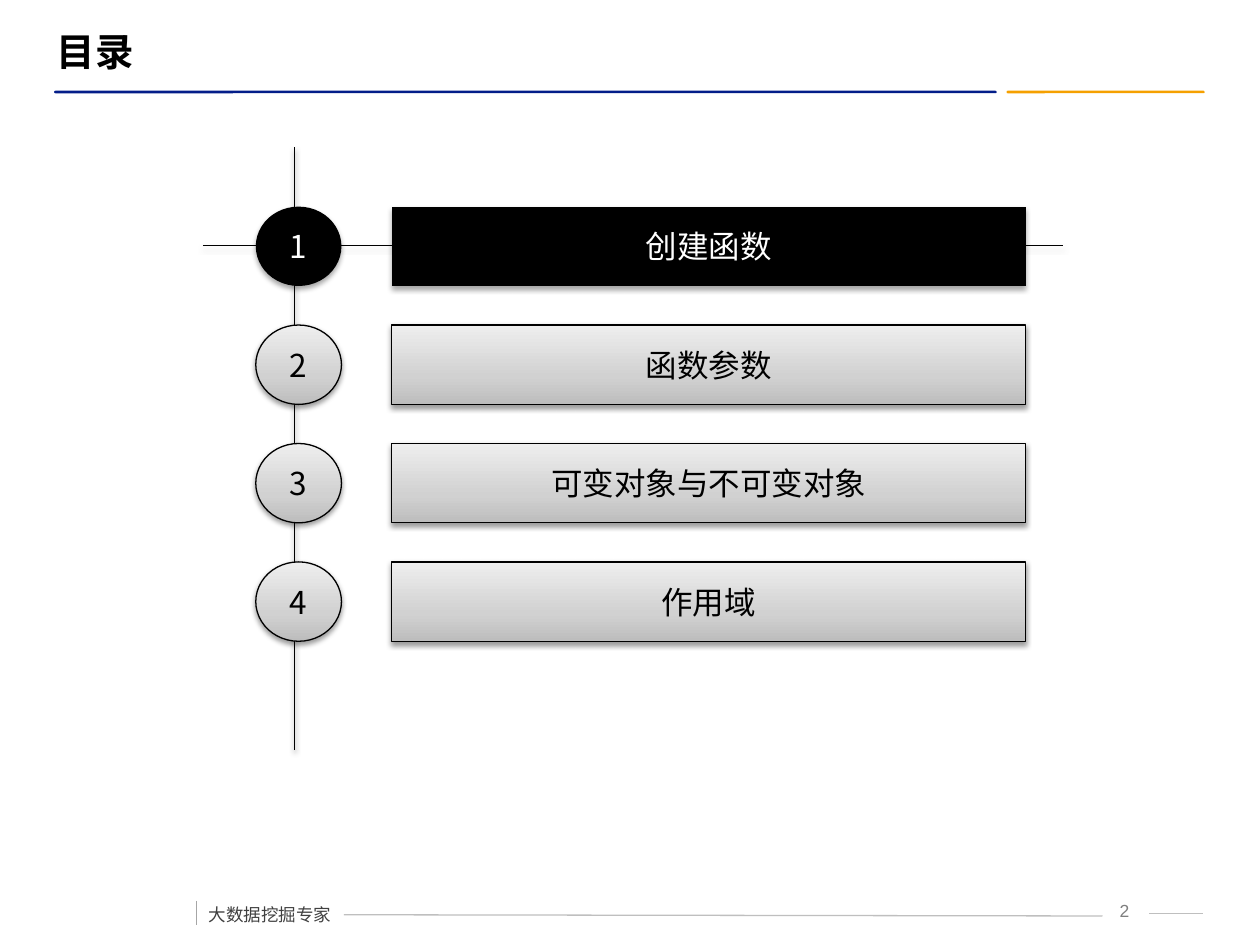
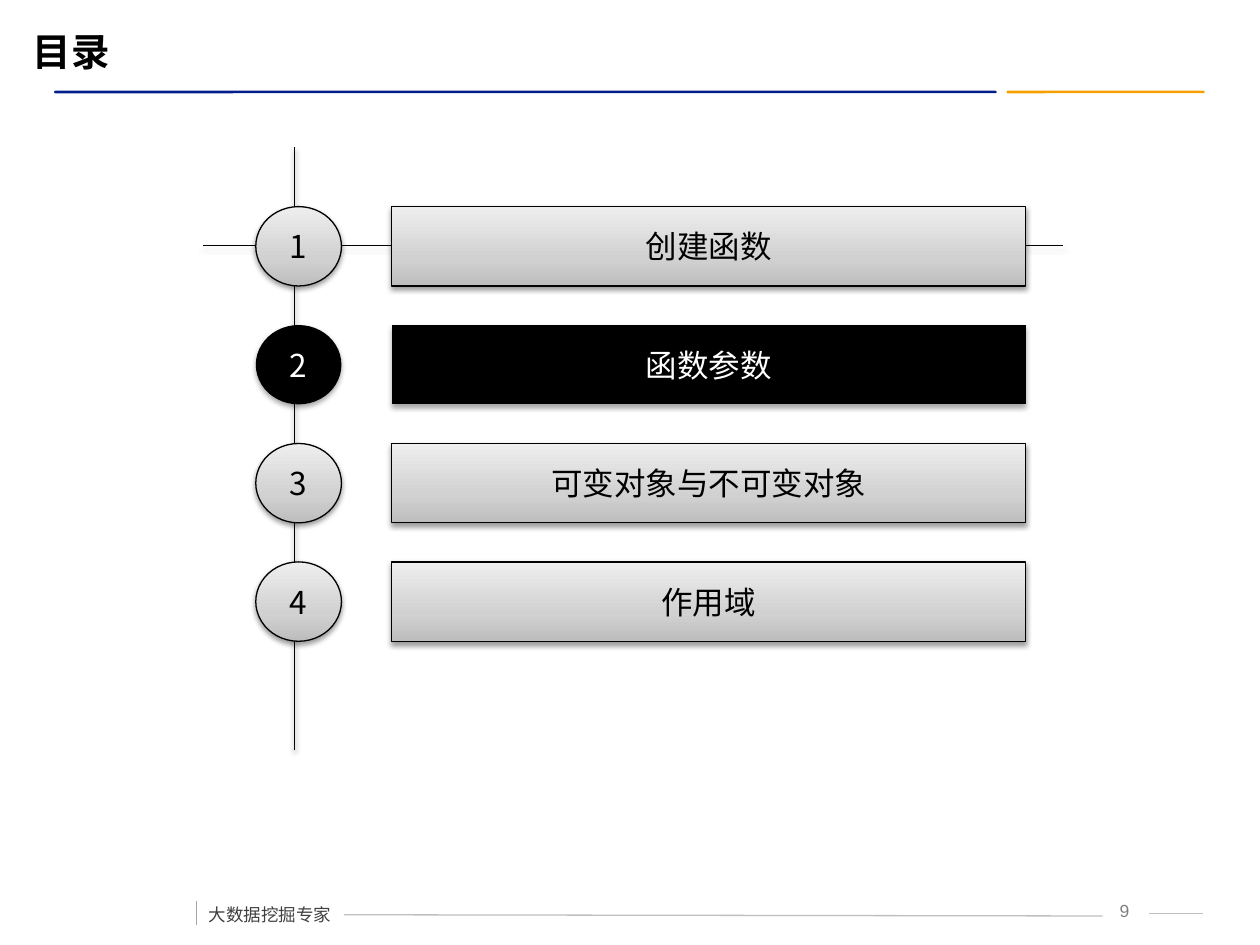
import dataclasses
import typing

import pptx
import pptx.dml.color
import pptx.enum.shapes
import pptx.enum.text
import pptx.oxml
import pptx.oxml.ns
import pptx.util

Inches = pptx.util.Inches
Pt = pptx.util.Pt
qn = pptx.oxml.ns.qn
Kinds = pptx.enum.shapes.MSO_SHAPE
Align = pptx.enum.text.PP_ALIGN


@dataclasses.dataclass(frozen=True)
class Theme:
    ink: str = "000000"
    paper: str = "FFFFFF"
    blue: str = "031D89"
    orange: str = "F5A000"
    footer_line: str = "BFBFBF"
    footer_tick: str = "A6A6A6"
    footer_text: str = "404040"
    page_number: str = "7F7F7F"
    gradient: tuple = ((0, "BDBDBD"), (35, "D1D1D1"), (100, "EEEEEE"))
    latin: str = "Arial"
    chinese: str = "Noto Sans CJK SC"
    title_size: int = 22
    item_size: int = 18
    footer_size: int = 10
    line_width: float = 0.75


class Area(typing.NamedTuple):
    left: float
    top: float
    width: float
    height: float


class Band(typing.NamedTuple):
    area: Area
    color: str
    rounding: float


class Rule(typing.NamedTuple):
    start: tuple
    end: tuple
    color: str
    shadow: bool = False


class Agenda(typing.NamedTuple):
    number: int
    active: int
    title_area: Area


THEME = Theme()
TOPICS = ("创建函数", "函数参数", "可变对象与不可变对象", "作用域")
AGENDAS = (
    Agenda(2, 1, Area(0.35, 0.17, 8.9, 0.47)),
    Agenda(9, 2, Area(0.16, 0.17, 9.1, 0.47)),
)
BANDS = (
    Band(Area(7.99, 0.72, 1.57, 0.02), THEME.orange, 0.36),
    Band(Area(0.43, 0.72, 7.48, 0.02), THEME.blue, 0.5),
)
RULES = (
    Rule((2.73, 7.26), (8.75, 7.27), THEME.footer_line),
    Rule((9.12, 7.25), (9.55, 7.25), THEME.footer_line),
    Rule((1.56, 7.15), (1.56, 7.34), THEME.footer_tick),
    Rule((2.34, 1.17), (2.34, 5.95), THEME.ink, True),
    Rule((1.61, 1.95), (8.44, 1.95), THEME.ink, True),
)
ROW_TOP, ROW_PITCH, ROW_HEIGHT = 1.64, 0.94, 0.63
CIRCLE_LEFT, CIRCLE_WIDTH = 2.03, 0.68
BAR_LEFT, BAR_WIDTH = 3.11, 5.03


def rgb(color: str) -> pptx.dml.color.RGBColor:
    return pptx.dml.color.RGBColor.from_string(color)


def inches(values: typing.Iterable[float]) -> list:
    return [Inches(value) for value in values]


def apply(target, formats: dict) -> None:
    for name, value in formats.items():
        setattr(target, name, value)


def write(frame, text: str, size: int, color: str, font: str,
          bold: bool = False, frame_formats: typing.Optional[dict] = None,
          para_formats: typing.Optional[dict] = None) -> None:
    apply(frame, frame_formats or {})
    para = frame.paragraphs[0]
    apply(para, para_formats or {})
    span = para.add_run()
    span.text = text
    apply(span.font, {"size": Pt(size), "bold": bold, "name": font})
    span.font.color.rgb = rgb(color)
    # East Asian characters take their own typeface
    east_asian = span.font._element.makeelement(qn("a:ea"), {"typeface": THEME.chinese})
    span.font._element.find(qn("a:latin")).addnext(east_asian)


def drop_shadow(effects, opacity: int = 38, distance: float = 1.6) -> None:
    effects.append(pptx.oxml.parse_xml(
        f'<a:outerShdw {pptx.oxml.ns.nsdecls("a")} blurRad="{Pt(3.1)}" '
        f'dist="{Pt(distance)}" dir="5400000" rotWithShape="0">'
        f'<a:srgbClr val="{THEME.ink}"><a:alpha val="{opacity * 1000}"/>'
        '</a:srgbClr></a:outerShdw>'))


def fill_gradient(shape) -> None:
    shape.fill.gradient()
    shape.fill.gradient_angle = 90
    stops = shape._element.spPr.find(qn("a:gradFill")).find(qn("a:gsLst"))
    stops.clear()
    for position, color in THEME.gradient:
        stops.append(pptx.oxml.parse_xml(
            f'<a:gs {pptx.oxml.ns.nsdecls("a")} pos="{position * 1000}">'
            f'<a:srgbClr val="{color}"/></a:gs>'))


def draw_rule(page, rule: Rule) -> None:
    line = page.shapes.add_connector(
        pptx.enum.shapes.MSO_CONNECTOR.STRAIGHT, *inches(rule.start + rule.end))
    line.line.color.rgb = rgb(rule.color)
    line.line.width = Pt(THEME.line_width)
    properties = line._element.spPr
    effects = properties.makeelement(qn("a:effectLst"), {})
    properties.append(effects)
    if rule.shadow:
        drop_shadow(effects)


def draw_band(page, band: Band) -> None:
    shape = page.shapes.add_shape(Kinds.ROUNDED_RECTANGLE, *inches(band.area))
    shape.adjustments[0] = band.rounding
    shape.fill.solid()
    shape.fill.fore_color.rgb = rgb(band.color)
    shape.line.fill.background()
    shape.shadow.inherit = False


def draw_item(page, kind, area: Area, text: str, active: bool) -> None:
    shape = page.shapes.add_shape(kind, *inches(area))
    if active:
        shape.fill.solid()
        shape.fill.fore_color.rgb = rgb(THEME.ink)
        shape.line.fill.background()
    else:
        fill_gradient(shape)
        shape.line.color.rgb = rgb(THEME.ink)
        shape.line.width = Pt(THEME.line_width)
    shape.shadow.inherit = False
    effects = shape._element.spPr.find(qn("a:effectLst"))
    if active:
        drop_shadow(effects, 35, 1.8)
    else:
        drop_shadow(effects)
    write(shape.text_frame, text, THEME.item_size,
          THEME.paper if active else THEME.ink, THEME.chinese,
          frame_formats={"word_wrap": False,
                         "vertical_anchor": pptx.enum.text.MSO_ANCHOR.MIDDLE},
          para_formats={"alignment": Align.CENTER})


def draw_frame(page, number: int) -> None:
    for band in BANDS:
        draw_band(page, band)
    for rule in RULES:
        draw_rule(page, rule)
    # Page number and footer
    box = page.shapes.add_textbox(*inches(Area(8.67, 7.09, 0.47, 0.25)))
    write(box.text_frame, f" {number}", THEME.footer_size, THEME.page_number,
          THEME.latin, frame_formats={"word_wrap": True},
          para_formats={"alignment": Align.CENTER})
    box = page.shapes.add_textbox(*inches(Area(1.56, 7.04, 1.18, 0.35)))
    write(box.text_frame, "大数据挖掘专家", THEME.footer_size, THEME.footer_text,
          THEME.chinese,
          frame_formats={"word_wrap": False,
                         "auto_size": pptx.enum.text.MSO_AUTO_SIZE.SHAPE_TO_FIT_TEXT},
          para_formats={"line_spacing": 1.5, "space_before": Pt(6)})


def draw_title(page, area: Area) -> None:
    title = page.shapes.title
    apply(title, dict(zip(("left", "top", "width", "height"), inches(area))))
    write(title.text_frame, "目录", THEME.title_size, THEME.ink, THEME.latin, True,
          {"vertical_anchor": pptx.enum.text.MSO_ANCHOR.MIDDLE, "word_wrap": True,
           "auto_size": pptx.enum.text.MSO_AUTO_SIZE.NONE},
          {"alignment": Align.LEFT})


def build_agenda(deck, agenda: Agenda) -> None:
    page = deck.slides.add_slide(deck.slide_layouts.get_by_name("Title Only"))
    draw_title(page, agenda.title_area)
    draw_frame(page, agenda.number)
    # Numbered topics, the current one in black
    for index, topic in enumerate(TOPICS):
        top = ROW_TOP + index * ROW_PITCH
        active = index + 1 == agenda.active
        draw_item(page, Kinds.OVAL, Area(CIRCLE_LEFT, top, CIRCLE_WIDTH, ROW_HEIGHT),
                  str(index + 1), active)
        draw_item(page, Kinds.ACTION_BUTTON_CUSTOM,
                  Area(BAR_LEFT, top, BAR_WIDTH, ROW_HEIGHT), topic, active)


def main() -> None:
    deck = pptx.Presentation()
    apply(deck, {"slide_width": Inches(10), "slide_height": Inches(7.5)})
    for agenda in AGENDAS:
        build_agenda(deck, agenda)
    deck.save("out.pptx")


if __name__ == "__main__":
    main()
